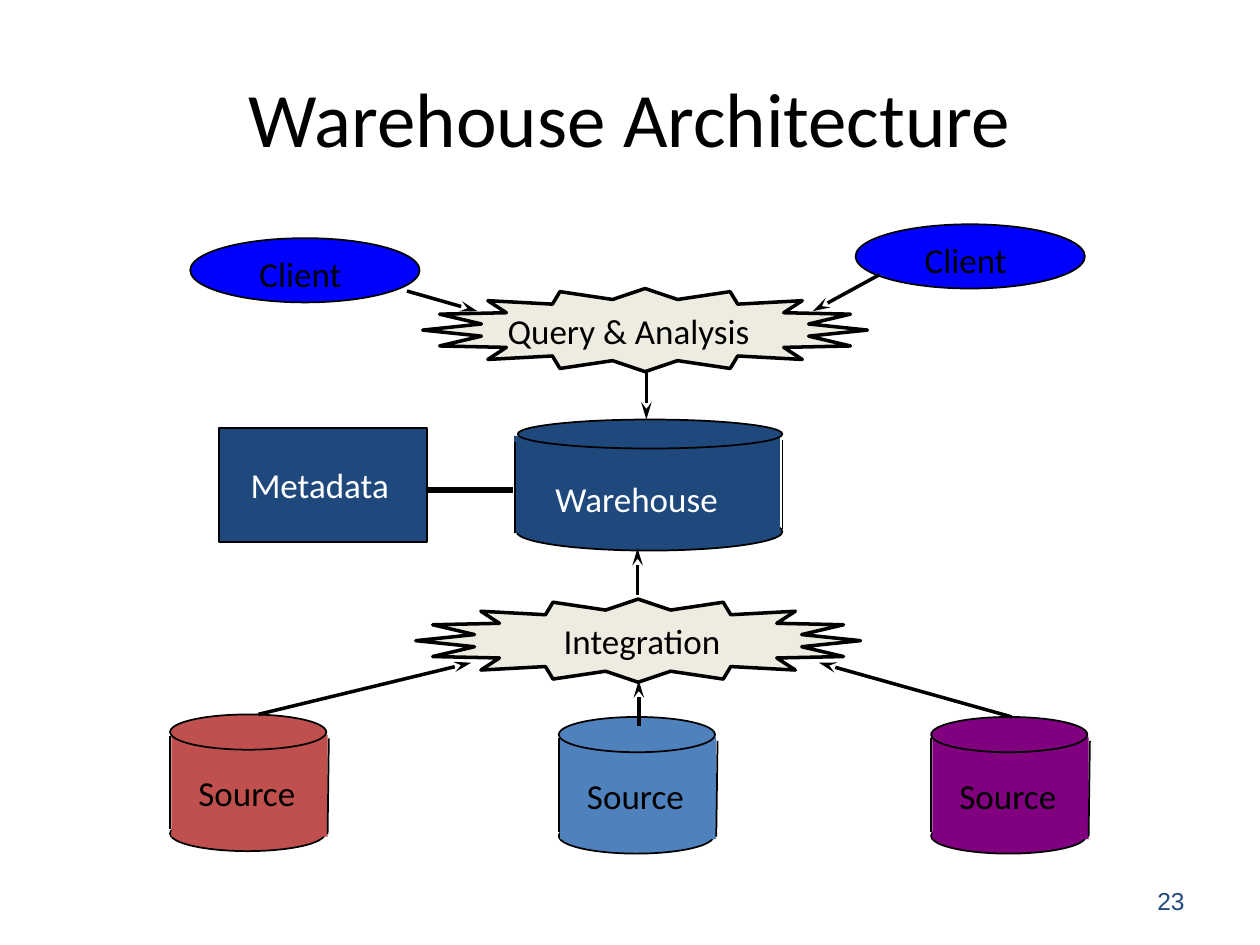
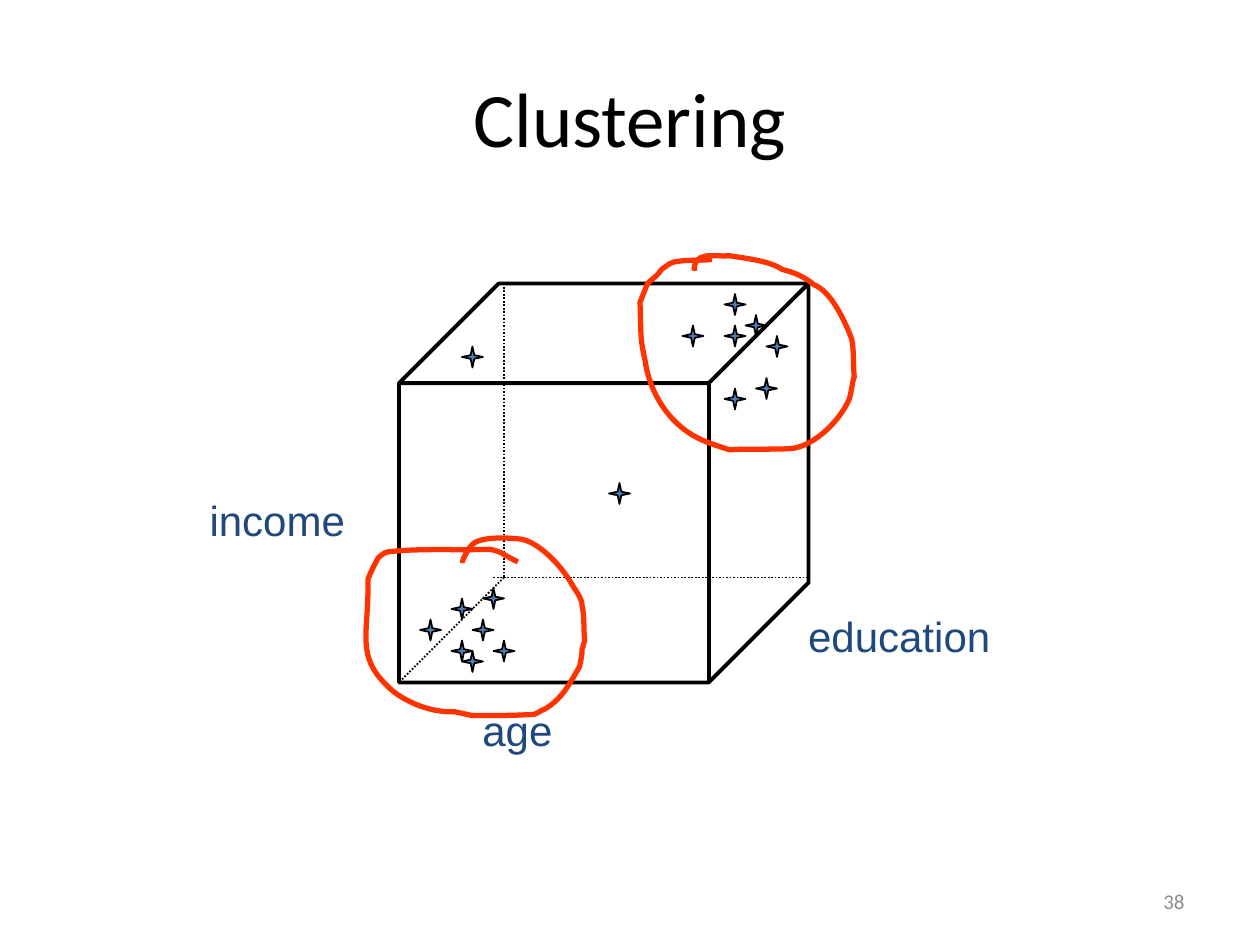
from lxml.etree import SubElement
from pptx import Presentation
from pptx.dml.color import RGBColor
from pptx.enum.dml import MSO_LINE
from pptx.enum.shapes import MSO_CONNECTOR, MSO_SHAPE
from pptx.enum.text import MSO_ANCHOR, PP_ALIGN
from pptx.oxml.ns import qn
from pptx.util import Inches, Pt

# The slide is a grid of 100 columns by 75 rows; all lengths are in cells.
COLS, ROWS = 100, 75
CELL = Inches(10) / COLS
TWELFTH = 10 / 12  # lattice step of the clustering cube

COLORS = {
    "black": "000000", "white": "FFFFFF", "navy": "1F497D", "gray": "8C8C8C",
    "client": "0000FF", "burst": "EEECE1", "red": "C0504D", "blue": "4F81BD",
    "purple": "800080", "circle": "FF3300",
}
TITLE = {"name": "Calibri", "size": Pt(44), "color": "black"}
NODE = {"name": "Calibri", "size": Pt(20), "color": "black"}
NODE_LIGHT = {**NODE, "color": "white"}
AXIS = {"name": "Arial", "size": Pt(24), "color": "navy"}
NUMBER_ARIAL = {"name": "Arial", "size": Pt(14), "color": "navy"}
NUMBER_CALIBRI = {"name": "Calibri", "size": Pt(12), "color": "gray"}

# Parts of a cylinder, relative to the top left of its lid
SOURCE = {
    "base": (0, 8.05, 12.3, 2.8), "body": (0.1, 1.6, 12.4, 8.1),
    "lid": (0, 0, 12.4, 2.8), "label": (1.25, 4.05, 10.9, 4.3),
    "sides": [(12.6, 1.9, 12.5, 9.5), (0, 1.7, 0, 9.1)],
}
WAREHOUSE = {
    "base": (-0.1, 7.4, 21.1, 3), "body": (-0.3, 1.3, 21.1, 7.7),
    "lid": (0, 0, 21, 2.3), "label": (2, 4.1, 16.6, 4.3),
    "sides": [(21, 1.6, 21, 8.7), (-0.2, 1.8, -0.2, 9)],
}

ARROWS = [
    (32.3, 23.1, 37.9, 24.7), (69.8, 21.8, 64.5, 24.7),
    (20.5, 56.7, 37.4, 52.6), (80.3, 56.9, 65, 52.6),
    (50.6, 47.2, 50.6, 43.5), (51.3, 29.6, 51.3, 33.3),
    (50.7, 57.6, 50.7, 54),
]

# Lattice positions of the data points and hidden cube edges
POINTS = [
    (58, 46), (65, 31), (72, 36), (69, 31), (73, 32), (69, 28), (47, 61),
    (46, 56), (43, 61), (40, 59), (44, 33), (45, 59), (71, 30), (69, 37),
    (44, 62), (43, 57),
]
HIDDEN_EDGES = [(48, 27, 48, 55), (48, 55, 38, 65), (47, 55, 77, 55)]

# Bezier chains: a start point, then two handles and an end per segment
LOW_CIRCLE = [
    (41.1, 44.6), (39.3, 43.7), (40.1, 43.9), (38.9, 43.6),
    (36.2, 43.7), (33.5, 43.5), (30.8, 43.8), (30.5, 43.8), (30, 44.3), (30, 44.3),
    (29.7, 44.9), (29.4, 45.4), (29.2, 46), (29.3, 50.2), (28.2, 52), (30.7, 54.4),
    (31.6, 55.4), (33.4, 56.2), (34.7, 56.4), (35.2, 56.5), (35.6, 56.5), (36.1, 56.5),
    (36.6, 56.6), (37.5, 56.8), (37.5, 56.8), (39.1, 56.8), (40.7, 56.8), (42.4, 56.7),
    (42.7, 56.6), (42.9, 56.4), (43.2, 56.3), (44.6, 55.5), (45.2, 54.3), (46, 52.9),
    (46.1, 52.4), (46.2, 52), (46.2, 51.5), (46.3, 51.3), (46.4, 50.8), (46.4, 50.8),
    (46.3, 49.9), (46.4, 49), (46.2, 48.1), (46.2, 47.5), (45.7, 46.9), (45.4, 46.4),
    (44.7, 45.1), (42.9, 43.1), (41.4, 42.8), (41.4, 42.8), (38.4, 42.4), (37.5, 43.2),
    (37.2, 43.5), (37, 43.9), (36.8, 44.3), (36.7, 44.4), (36.7, 44.7), (36.7, 44.7),
]
HIGH_CIRCLE = [
    (56.5, 20.6), (55.5, 20.7), (54.5, 20.6), (53.5, 20.8),
    (53.1, 20.9), (52.8, 21.2), (52.5, 21.4), (52.2, 21.9), (51.8, 22.1), (51.4, 22.5),
    (51.2, 23), (51, 23.5), (50.8, 24), (50.9, 26.9), (50.8, 26.8), (51.2, 28.6),
    (51.5, 30.8), (52.7, 33), (54.6, 34.3), (55.6, 35), (56.7, 35.3), (57.9, 35.7),
    (59.6, 35.6), (61.3, 35.7), (62.9, 35.6), (64.8, 35.3), (66.7, 33.3), (67.4, 31.7),
    (67.6, 31.1), (67.6, 30.5), (67.8, 29.9), (67.7, 28.9), (67.8, 27.9), (67.6, 26.9),
    (67.6, 26.7), (67.4, 26.6), (67.4, 26.4), (66.9, 25.2), (65.9, 23.1), (64.6, 22.6),
    (63.9, 22), (63, 21.6), (62.1, 21.4), (61.1, 20.7), (59.1, 20.5), (57.9, 20.3),
    (56.5, 20.4), (55.1, 19.9), (55.1, 21.5),
]


def cells(values):
    return [round(v * CELL) for v in values]


def shifted(box, x, y):
    return box[0] + x, box[1] + y, *box[2:]


def rgb(name):
    return RGBColor.from_string(COLORS[name])


def style_shape(sp, fill, line, width):
    sp.shadow.inherit = False
    if fill:
        sp.fill.solid()
        sp.fill.fore_color.rgb = rgb(fill)
    else:
        sp.fill.background()
    if line:
        sp.line.color.rgb = rgb(line)
        sp.line.width = Pt(width)
    else:
        sp.line.fill.background()


def add_form(shapes, kind, box, fill=None, line="black", width=1, adj=None):
    sp = shapes.add_shape(kind, *cells(box))
    style_shape(sp, fill, line, width)
    if adj is not None:
        sp.adjustments[0] = adj


def add_text(shapes, text, box, font, wrap=True, align=PP_ALIGN.LEFT,
             anchor=MSO_ANCHOR.TOP):
    tf = shapes.add_textbox(*cells(box)).text_frame
    tf.word_wrap = wrap
    tf.vertical_anchor = anchor
    p = tf.paragraphs[0]
    p.alignment = align
    r = p.add_run()
    r.text = text
    for key, value in font.items():
        if key == "color":
            r.font.color.rgb = rgb(value)
        else:
            setattr(r.font, key, value)


def add_line(shapes, ends, width=1, arrow=False, dash=None):
    line = shapes.add_connector(MSO_CONNECTOR.STRAIGHT, *cells(ends))
    line.line.color.rgb = rgb("black")
    line.line.width = Pt(width)
    if dash:
        line.line.dash_style = dash
    if arrow:
        ln = line._element.spPr.find(qn("a:ln"))
        SubElement(ln, qn("a:tailEnd"), type="stealth", w="med", len="lg")
    SubElement(line._element.spPr, qn("a:effectLst"))


def add_curve(shapes, chain):
    """Draw the chain's end points as a freeform, then bend each segment."""
    points = [cells(point) for point in chain]
    builder = shapes.build_freeform(*points[0])
    builder.add_line_segments(points[3::3], close=False)
    sp = builder.convert_to_shape()
    style_shape(sp, None, "circle", 3)
    segments = list(sp._element.iter(qn("a:lnTo")))
    for i, segment in enumerate(segments):
        curve = SubElement(segment.getparent(), qn("a:cubicBezTo"))
        for x, y in points[3 * i + 1:3 * i + 4]:
            SubElement(curve, qn("a:pt"), x=str(x - sp.left), y=str(y - sp.top))
        segment.getparent().remove(segment)


def add_client(s, x, y):
    shapes = s.shapes.add_group_shape().shapes
    add_form(shapes, MSO_SHAPE.OVAL, (x, y, 18.2, 5.1), "client")
    add_text(shapes, "Client", (x + 4.5, y + 0.65, 9.1, 4.3), NODE, wrap=False)


def add_burst(s, text, x, y, label, wrap):
    shapes = s.shapes.add_group_shape().shapes
    add_form(shapes, MSO_SHAPE.STAR_16_POINT, (x, y, 35.3, 6.6), "burst",
             width=2, adj=0.375)
    add_text(shapes, text, label, NODE, wrap)


def add_cylinder(s, text, x, y, fill, parts, font):
    shapes = s.shapes.add_group_shape().shapes
    for part, kind, line in (("base", MSO_SHAPE.OVAL, "black"),
                             ("body", MSO_SHAPE.RECTANGLE, None),
                             ("lid", MSO_SHAPE.OVAL, "black")):
        add_form(shapes, kind, shifted(parts[part], x, y), fill, line)
    for x1, y1, x2, y2 in parts["sides"]:
        add_line(shapes, (x + x1, y + y1, x + x2, y + y2))
    add_text(shapes, text, shifted(parts["label"], x, y), font)


def add_slide(prs, title, number, number_font):
    s = prs.slides.add_slide(prs.slide_layouts[6])
    add_text(s.shapes, title, (5, 3, 90, 12.5), TITLE,
             align=PP_ALIGN.CENTER, anchor=MSO_ANCHOR.MIDDLE)
    add_text(s.shapes, number, (71.7, 69.5, 23.3, 4), number_font,
             align=PP_ALIGN.RIGHT, anchor=MSO_ANCHOR.MIDDLE)
    return s


def build_architecture(prs):
    s = add_slide(prs, "Warehouse Architecture", "23", NUMBER_ARIAL)
    add_client(s, 15.1, 18.9)
    add_client(s, 67.9, 17.8)
    add_cylinder(s, "Warehouse", 41.1, 33.3, "navy", WAREHOUSE, NODE_LIGHT)
    for x, y, fill in ((13.5, 56.7, "red"), (44.35, 56.9, "blue"),
                       (73.9, 56.9, "purple")):
        add_cylinder(s, "Source", x, y, fill, SOURCE, NODE)
    add_burst(s, "Query & Analysis", 33.55, 22.9, (39.3, 24.1, 23.8, 4.3), True)
    add_burst(s, "Integration", 33, 47.55, (43.75, 48.7, 15.1, 4.3), False)
    for ends in ARROWS:
        add_line(s.shapes, ends, width=2, arrow=True)
    add_form(s.shapes, MSO_SHAPE.RECTANGLE, (17.4, 34, 16.5, 9), "navy")
    add_text(s.shapes, "Metadata", (18.9, 36.3, 13.6, 4.3), NODE_LIGHT, wrap=False)
    add_line(s.shapes, (34, 38.9, 40.7, 38.9), width=3)


def build_clustering(prs):
    s = add_slide(prs, "Clustering", "38", NUMBER_CALIBRI)
    cube = [n * TWELFTH for n in (38, 27, 39, 38)]
    add_form(s.shapes, MSO_SHAPE.CUBE, cube, width=2.25, adj=0.25)
    for text, box in (("age", (37.3, 55.4, 7.6, 5)),
                      ("income", (15.65, 38.75, 12.8, 5)),
                      ("education", (63.15, 47.95, 16.5, 5))):
        add_text(s.shapes, text, box, AXIS, wrap=False)
    for edge in HIDDEN_EDGES:
        add_line(s.shapes, [n * TWELFTH for n in edge], dash=MSO_LINE.ROUND_DOT)
    for col, row in POINTS:
        star = [n * TWELFTH for n in (col, row, 2, 2)]
        add_form(s.shapes, MSO_SHAPE.STAR_4_POINT, star, "blue", adj=0.125)
    for chain in (LOW_CIRCLE, HIGH_CIRCLE):
        add_curve(s.shapes, chain)


def main():
    prs = Presentation()
    prs.slide_width, prs.slide_height = cells((COLS, ROWS))
    build_architecture(prs)
    build_clustering(prs)
    prs.save("out.pptx")


if __name__ == "__main__":
    main()
